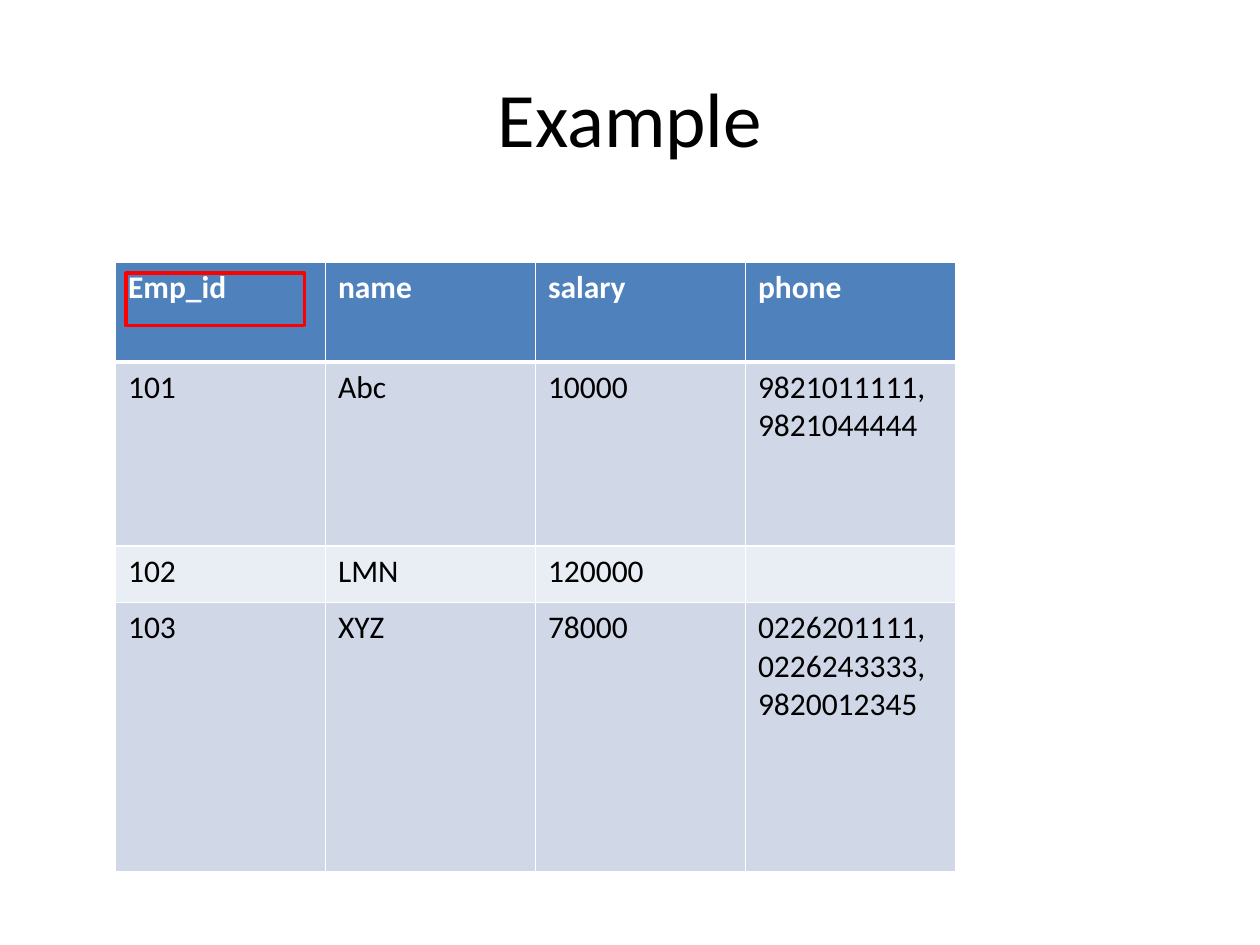
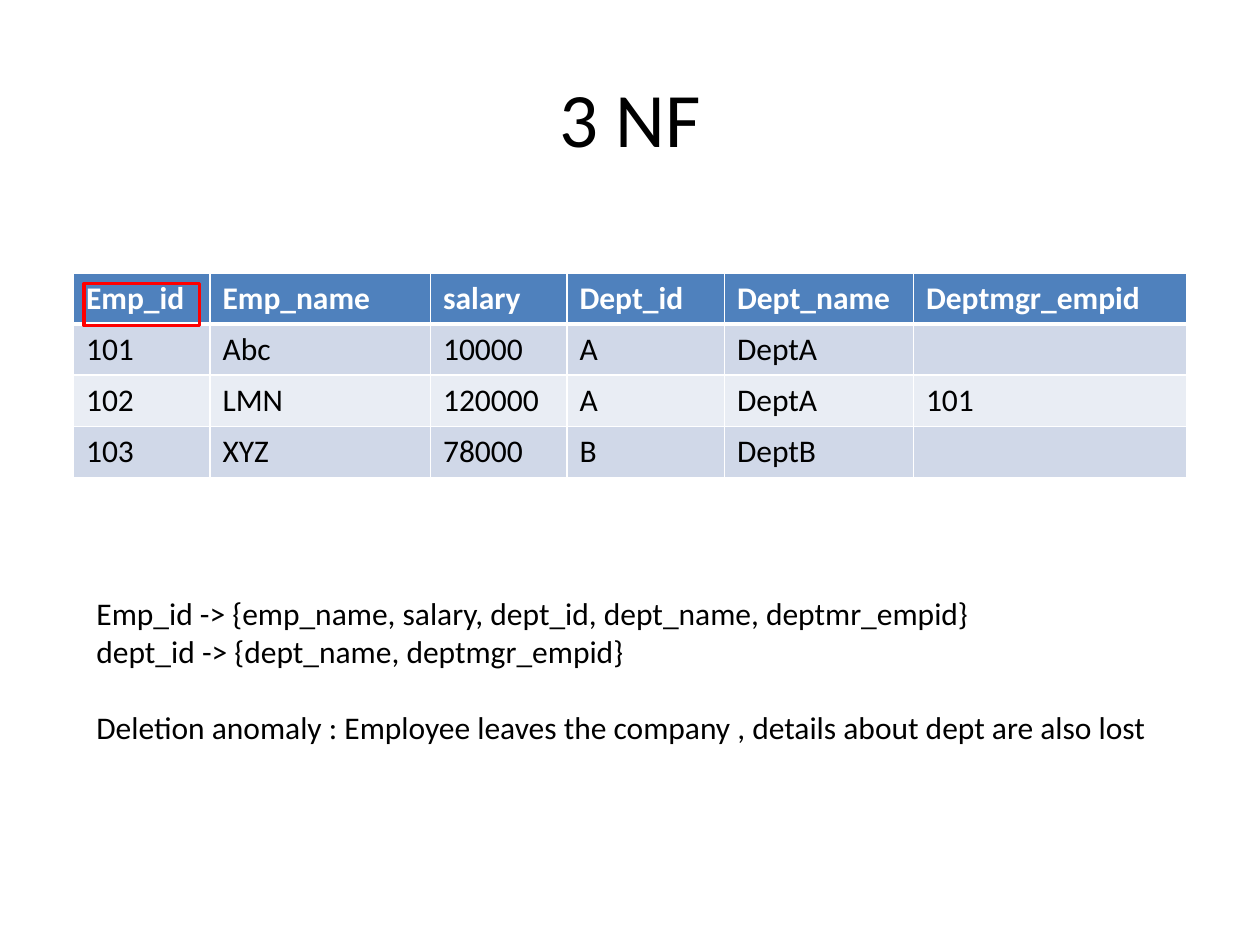
"""Build two slides on normal forms, each with a table and a marked key column."""
from dataclasses import dataclass

from lxml import etree
from pptx import Presentation
from pptx.dml.color import RGBColor
from pptx.enum.shapes import MSO_SHAPE
from pptx.enum.text import MSO_ANCHOR, MSO_AUTO_SIZE, PP_ALIGN
from pptx.oxml.ns import qn
from pptx.util import Pt

RECTANGLE = MSO_SHAPE.RECTANGLE
MIDDLE = MSO_ANCHOR.MIDDLE
CENTER = PP_ALIGN.CENTER
FIT_SHAPE = MSO_AUTO_SIZE.SHAPE_TO_FIT_TEXT
TITLE_ONLY = 5


@dataclass(frozen=True)
class Theme:
    """Colours, font, type sizes and line widths."""
    font: str = "Calibri"
    title_size: int = 44
    body_size: int = 18
    paragraph_gap: int = 22
    text: str = "000000"
    header_text: str = "FFFFFF"
    header_fill: str = "4F81BD"
    band_fills: tuple = ("D0D8E8", "E9EDF4")
    grid: str = "FFFFFF"
    grid_width: int = 1
    header_rule_width: int = 3
    key: str = "FF0000"
    key_width: int = 2


class Deck:
    """Holds the theme and the current slide, and adds elements to it."""

    def __init__(self, theme):
        """Start an empty 10 by 7.5 inch presentation."""
        self.theme = theme
        self.presentation = Presentation()
        self.presentation.slide_width = Pt(720)
        self.presentation.slide_height = Pt(540)
        self.slide = None

    def add_run(self, paragraph, text, size, color, bold=False):
        """Add one formatted run."""
        run = paragraph.add_run()
        run.text = text
        run.font.name = self.theme.font
        run.font.size = Pt(size)
        run.font.bold = bold
        run.font.color.rgb = RGBColor.from_string(color)

    def add_slide(self, title):
        """Add a slide with a centred title."""
        layout = self.presentation.slide_layouts[TITLE_ONLY]
        self.slide = self.presentation.slides.add_slide(layout)
        shape = self.slide.shapes.title
        shape.left, shape.top = Pt(36), Pt(21.6)
        shape.width, shape.height = Pt(648), Pt(90)
        shape.text_frame.vertical_anchor = MIDDLE
        paragraph = shape.text_frame.paragraphs[0]
        paragraph.alignment = CENTER
        self.add_run(paragraph, title, self.theme.title_size, self.theme.text)

    def add_borders(self, cell, top, bottom):
        """Draw the four cell borders; top and bottom are widths in points."""
        side = self.theme.grid_width
        properties = cell._tc.get_or_add_tcPr()
        for tag, width in (("a:lnL", side), ("a:lnR", side),
                           ("a:lnT", top), ("a:lnB", bottom)):
            line = etree.SubElement(properties, qn(tag), w=str(Pt(width)))
            fill = etree.SubElement(line, qn("a:solidFill"))
            etree.SubElement(fill, qn("a:srgbClr"), val=self.theme.grid)

    def add_table(self, left, top, widths, heights, rows):
        """Add a table with a header row and banded body rows."""
        theme = self.theme
        table = self.slide.shapes.add_table(
            len(rows), len(widths), Pt(left), Pt(top),
            Pt(sum(widths)), Pt(sum(heights))).table
        for column, width in zip(table.columns, widths):
            column.width = Pt(width)
        for index, (values, height) in enumerate(zip(rows, heights)):
            table.rows[index].height = Pt(height)
            header = index == 0
            fill = theme.header_fill if header else theme.band_fills[(index - 1) % 2]
            color = theme.header_text if header else theme.text
            top_width = theme.header_rule_width if index == 1 else theme.grid_width
            bottom_width = theme.header_rule_width if header else theme.grid_width
            for cell, value in zip(table.rows[index].cells, values):
                self.add_borders(cell, top_width, bottom_width)
                cell.fill.solid()
                cell.fill.fore_color.rgb = RGBColor.from_string(fill)
                if value:
                    self.add_run(cell.text_frame.paragraphs[0], value,
                                 theme.body_size, color, header)

    def add_key_frame(self, left, top, width, height):
        """Outline the key column's heading."""
        shape = self.slide.shapes.add_shape(
            RECTANGLE, Pt(left), Pt(top), Pt(width), Pt(height))
        shape.shadow.inherit = False
        shape.fill.background()
        shape.line.color.rgb = RGBColor.from_string(self.theme.key)
        shape.line.width = Pt(self.theme.key_width)

    def add_text(self, left, top, width, height, paragraphs):
        """Add a text box; each paragraph is a list of lines."""
        theme = self.theme
        frame = self.slide.shapes.add_textbox(
            Pt(left), Pt(top), Pt(width), Pt(height)).text_frame
        frame.word_wrap = True
        frame.auto_size = FIT_SHAPE
        for index, lines in enumerate(paragraphs):
            paragraph = frame.add_paragraph() if index else frame.paragraphs[0]
            if index:
                paragraph.space_before = Pt(theme.paragraph_gap)
            for number, line in enumerate(lines):
                if number:
                    paragraph.add_line_break()
                self.add_run(paragraph, line, theme.body_size, theme.text)


def add_phone_example(deck):
    """Employees with several phone numbers in one cell."""
    deck.add_slide("Example")
    deck.add_table(66, 150, [120] * 4, [56.9, 105.1, 32.4, 154], [
        ["Emp_id", "name", "salary", "phone"],
        ["101", "Abc", "10000", "9821011111, 9821044444"],
        ["102", "LMN", "120000", ""],
        ["103", "XYZ", "78000", "0226201111, 0226243333, 9820012345"],
    ])
    deck.add_key_frame(72, 156, 102, 30)


def add_third_normal_form(deck):
    """Employees with department details, and the dependencies."""
    deck.add_slide("3 NF")
    deck.add_table(42, 156, [78, 126, 78, 90, 108, 156], [29.2] * 4, [
        ["Emp_id", "Emp_name", "salary", "Dept_id", "Dept_name", "Deptmgr_empid"],
        ["101", "Abc", "10000", "A", "DeptA", ""],
        ["102", "LMN", "120000", "A", "DeptA", "101"],
        ["103", "XYZ", "78000", "B", "DeptB", ""],
    ])
    deck.add_text(48, 336, 624, 94.5, [
        ["Emp_id -> {emp_name, salary, dept_id, dept_name, deptmr_empid}",
         "dept_id -> {dept_name, deptmgr_empid}"],
        ["Deletion anomaly : Employee leaves the company , "
         "details about dept are also lost"],
    ])
    deck.add_key_frame(48, 162, 66, 24)


def main():
    """Build and save the presentation."""
    deck = Deck(Theme())
    add_phone_example(deck)
    add_third_normal_form(deck)
    deck.presentation.save("out.pptx")


main()
